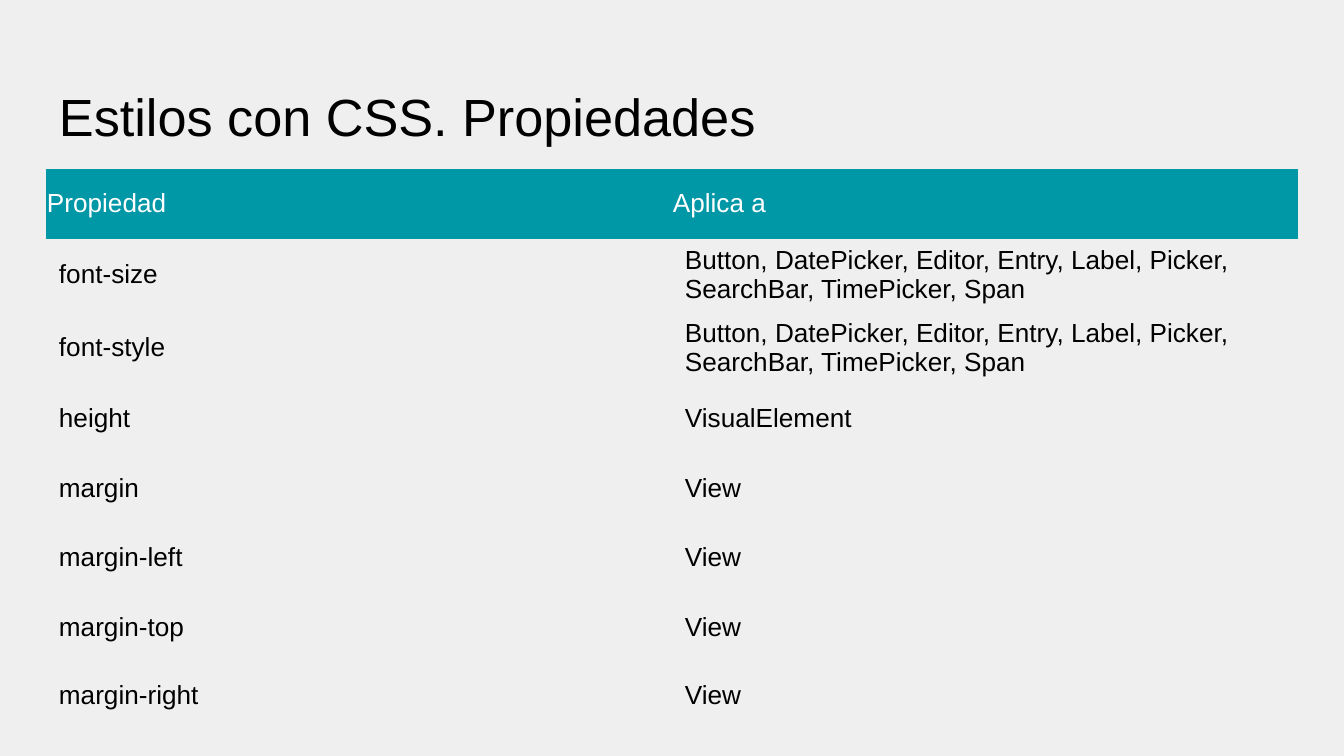
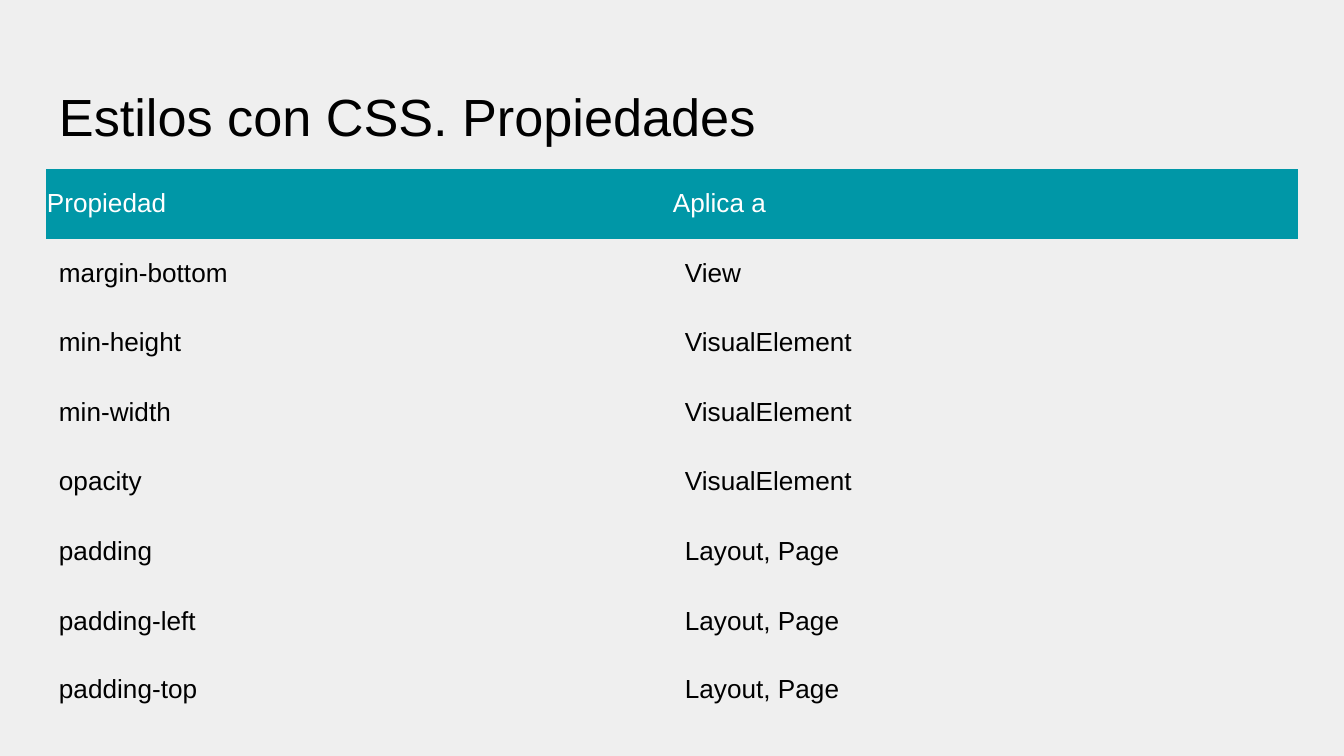
from pptx import Presentation
from pptx.dml.color import RGBColor
from pptx.enum.text import MSO_ANCHOR, MSO_AUTO_SIZE, PP_ALIGN
from pptx.util import Pt

TOP, MIDDLE = MSO_ANCHOR.TOP, MSO_ANCHOR.MIDDLE
LEFT = PP_ALIGN.LEFT
NO_AUTOFIT = MSO_AUTO_SIZE.NONE

# Content: a cell is a list of lines
TITLE = "Estilos con CSS. Propiedades"
HEADER = (["Propiedad"], ["Aplica a"])
TEXT_VIEWS = [
    "Button, DatePicker, Editor, Entry, Label, Picker,",
    "SearchBar, TimePicker, Span",
]
VISUAL = ["VisualElement"]
VIEW = ["View"]
LAYOUT = ["Layout, Page"]
PAGES = [
    [
        (["font-size"], TEXT_VIEWS),
        (["font-style"], TEXT_VIEWS),
        (["height"], VISUAL),
        (["margin"], VIEW),
        (["margin-left"], VIEW),
        (["margin-top"], VIEW),
        (["margin-right"], VIEW),
    ],
    [
        (["margin-bottom"], VIEW),
        (["min-height"], VISUAL),
        (["min-width"], VISUAL),
        (["opacity"], VISUAL),
        (["padding"], LAYOUT),
        (["padding-left"], LAYOUT),
        (["padding-top"], LAYOUT),
    ],
]

# Shared look, lengths in px
FONT = "Arial"
BLACK, WHITE, TEAL, PAPER = "000000", "FFFFFF", "0097A7", "EFEFEF"
WIDTH, HEIGHT = 1344, 756
MARGIN = 46
CONTENT_WIDTH = WIDTH - 2 * MARGIN
TITLE_TOP, TITLE_HEIGHT = 66, 85
TITLE_INSETS = (13, 18, 13, 6)
TABLE_TOP, TABLE_HEIGHT, LAST_ROW = 169, 554, 67
HEADER_INSETS = (1, 0, 1, 0)
BODY_INSETS = (13, 7, 13, 7)
PLAIN_TABLE = "{2D5ABB26-0587-4C30-8999-92F81FD0307C}"


def px(length):
    return int(length * 914400 / 134.4)


def color(value):
    return RGBColor.from_string(value)


def set_insets(target, insets):
    (target.margin_left, target.margin_top,
     target.margin_right, target.margin_bottom) = map(px, insets)


def write(frame, lines, size, ink):
    for index, line in enumerate(lines):
        para = frame.add_paragraph() if index else frame.paragraphs[0]
        para.alignment = LEFT
        span = para.add_run()
        span.text = line
        span.font.name = FONT
        span.font.size = Pt(size)
        span.font.bold = False
        span.font.color.rgb = color(ink)


def add_title(page):
    box = page.shapes.title
    box.left, box.top = px(MARGIN), px(TITLE_TOP)
    box.width, box.height = px(CONTENT_WIDTH), px(TITLE_HEIGHT)
    frame = box.text_frame
    frame.word_wrap = True
    frame.auto_size = NO_AUTOFIT
    frame.vertical_anchor = TOP
    set_insets(frame, TITLE_INSETS)
    write(frame, [TITLE], 28, BLACK)


def add_property_table(page, properties):
    rows = [HEADER] + properties
    table = page.shapes.add_table(
        len(rows), len(HEADER), px(MARGIN), px(TABLE_TOP),
        px(CONTENT_WIDTH), px(TABLE_HEIGHT)).table
    table.first_row = table.horz_banding = False
    table._tbl.tblPr[0].text = PLAIN_TABLE

    # Equal rows, with a slightly lower last one
    for row in table.rows:
        row.height = px((TABLE_HEIGHT - LAST_ROW) / (len(rows) - 1))
    table.rows[len(rows) - 1].height = px(LAST_ROW)

    for row_index, row in enumerate(rows):
        is_header = row_index == 0
        for column_index, lines in enumerate(row):
            cell = table.cell(row_index, column_index)
            cell.vertical_anchor = MIDDLE
            set_insets(cell, HEADER_INSETS if is_header else BODY_INSETS)
            if is_header:
                cell.fill.solid()
                cell.fill.fore_color.rgb = color(TEAL)
            else:
                cell.fill.background()
            write(cell.text_frame, lines, 14, WHITE if is_header else BLACK)


def main():
    deck = Presentation()
    deck.slide_width, deck.slide_height = px(WIDTH), px(HEIGHT)
    backdrop = deck.slide_master.background.fill
    backdrop.solid()
    backdrop.fore_color.rgb = color(PAPER)
    title_only = deck.slide_layouts[5]
    for properties in PAGES:
        page = deck.slides.add_slide(title_only)
        add_title(page)
        add_property_table(page, properties)
    deck.save("out.pptx")


if __name__ == "__main__":
    main()
